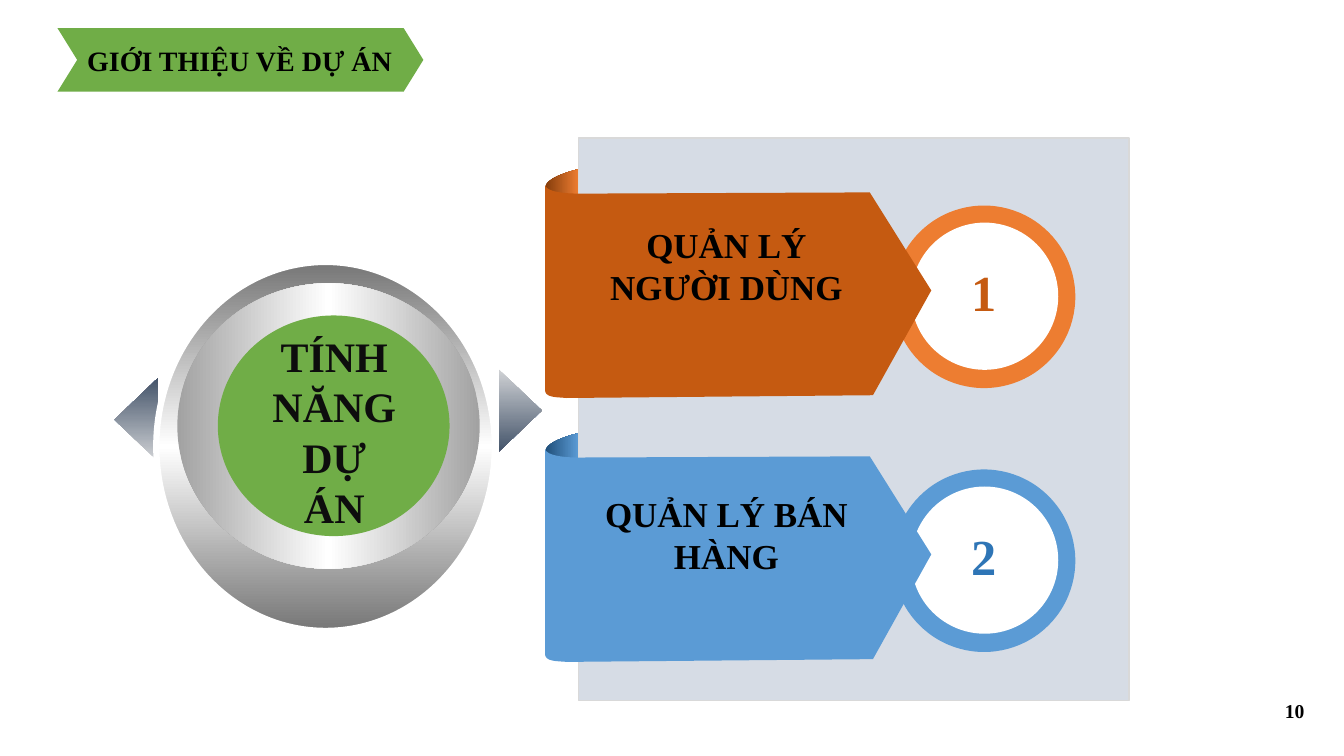
from lxml import etree
from pptx import Presentation
from pptx.dml.color import RGBColor
from pptx.enum import shapes, text
from pptx.oxml import ns
from pptx.util import Cm, Pt

FONT = "Times New Roman"
BLACK = RGBColor(0, 0, 0)
INK = RGBColor(0x0D, 0x0D, 0x0D)
WHITE = RGBColor(0xFF, 0xFF, 0xFF)
GREEN = RGBColor(0x70, 0xAD, 0x47)
SLATE = RGBColor(0x44, 0x54, 0x6A)
MIST = RGBColor(0xD0, 0xD2, 0xD5)
PANEL = RGBColor(0xD6, 0xDC, 0xE5)
EDGE = RGBColor(0xD9, 0xD9, 0xD9)
STEEL = RGBColor(0x76, 0x76, 0x76)
SILVER = RGBColor(0xA2, 0xA2, 0xA2)
ORANGE = RGBColor(0xED, 0x7D, 0x31)
RUST = RGBColor(0xC5, 0x5A, 0x11)
BROWN = RGBColor(0x84, 0x3C, 0x0B)
BLUE = RGBColor(0x5B, 0x9B, 0xD5)
NAVY = RGBColor(0x1F, 0x4E, 0x79)
COBALT = RGBColor(0x2E, 0x75, 0xB6)

KIND = shapes.MSO_SHAPE
MID = text.PP_ALIGN.CENTER
CURL = [(14.58, 4.27), (14.45, 4.29, 13.79, 4.47, 13.74, 4.7),
        (13.69, 4.8, 14.2, 4.9, 14.58, 4.9)]
BAND = [(13.74, 4.67), (13.79, 4.85, 14.3, 4.88, 14.58, 4.88),
        (21.92, 4.85), (23.47, 7.32), (22, 9.96), (14.27, 10.03),
        (14.1, 10.01, 13.77, 10.03, 13.74, 9.86)]


def trace(parts, drop, steps=12):
    dots = []
    for part in parts:
        if len(part) == 2:
            dots.append(part)
            continue
        ends = [dots[-1], part[:2], part[2:4], part[4:]]
        for i in range(1, steps + 1):
            t = i / steps
            rates = ((1 - t) ** 3, 3 * t * (1 - t) ** 2, 3 * t * t * (1 - t), t ** 3)
            dots.append(tuple(sum(r * e[k] for r, e in zip(rates, ends)) for k in (0, 1)))
    return [(Cm(x), Cm(y + drop)) for x, y in dots]


class Page:
    def __init__(self, slide, font):
        self.items = slide.shapes
        self.font = font

    def paint(self, item, fill, angle=0, line=None, width=1):
        item.shadow.inherit = False
        if isinstance(fill, list):
            item.fill.gradient()
            item.fill.gradient_angle = angle
            stops = item._element.spPr.find(".//" + ns.qn("a:gsLst"))
            for old in list(stops):
                stops.remove(old)
            for i, tint in enumerate(fill):
                stop = etree.SubElement(stops, ns.qn("a:gs"))
                stop.set("pos", str(i * 100000 // (len(fill) - 1)))
                etree.SubElement(stop, ns.qn("a:srgbClr")).set("val", str(tint))
        else:
            item.fill.solid()
            item.fill.fore_color.rgb = fill
        if line is None:
            item.line.fill.background()
        else:
            item.line.color.rgb = line
            item.line.width = Pt(width)
        return item

    def shape(self, kind, box, fill, **style):
        return self.paint(self.items.add_shape(kind, *map(Cm, box)), fill, **style)

    def outline(self, parts, drop, fill):
        first, *rest = trace(parts, drop)
        pen = self.items.build_freeform(*first, scale=1.0)
        pen.add_line_segments(rest, close=True)
        return self.paint(pen.convert_to_shape(), fill)

    def words(self, item, line, size, color, align=text.PP_ALIGN.LEFT):
        frame = item.text_frame
        frame.word_wrap = True
        para = frame.paragraphs[0]
        para.alignment = align
        run = para.add_run()
        run.text = line
        run.font.name = self.font
        run.font.size = Pt(size)
        run.font.bold = True
        run.font.color.rgb = color

    def label(self, box, *style):
        self.words(self.items.add_textbox(*map(Cm, box)), *style)


deck = Presentation()
deck.slide_width, deck.slide_height = Cm(33.87), Cm(19.05)
page = Page(deck.slides.add_slide(deck.slide_layouts[6]), FONT)

for left, top, turn in ((2.39, 10.03, 270), (12.07, 9.8, 90)):
    arrow = page.shape(KIND.ISOSCELES_TRIANGLE, (left, top, 2.08, 1.09), [MIST, SLATE])
    arrow.rotation = turn
page.shape(KIND.OVAL, (3.94, 6.6, 8.53, 9.3), [STEEL, WHITE, STEEL],
           angle=90, line=WHITE, width=4.5)
page.shape(KIND.OVAL, (4.47, 7.14, 7.62, 7.19), [SILVER, WHITE, SILVER])
page.shape(KIND.OVAL, (5.49, 7.95, 5.84, 5.56), GREEN)
page.label((6.55, 8.2, 3.75, 5.38), "TÍNH NĂNG DỰ ÁN", 30, INK, MID)

page.shape(KIND.RECTANGLE, (14.58, 3.48, 13.87, 14.17), PANEL, line=EDGE)
rows = [("QUẢN LÝ NGƯỜI DÙNG", 5.51, ORANGE, BROWN, RUST, RUST),
        ("QUẢN LÝ BÁN HÀNG", 12.29, BLUE, NAVY, BLUE, COBALT)]
for i, (name, top, ring, dark, band, ink) in enumerate(rows):
    drop = i * 6.65
    page.shape(KIND.OVAL, (22.5, 5.18 + drop, 4.6, 4.6), ring)
    page.shape(KIND.OVAL, (22.96, 5.61 + drop, 3.71, 3.71), WHITE)
    page.outline(CURL, drop, [dark, ring])
    page.outline(BAND, drop, band)
    page.label((14.43, top, 7.75, 2.39), name, 25, BLACK, MID)
    page.label((23.25, 6.45 + drop, 3.1, 1.8), str(i + 1), 36, ink, MID)

page.label((32.13, 17.48, 1.04, 0.86), "10", 14, BLACK)
title = page.shape(KIND.CHEVRON, (1.45, 0.71, 9.22, 1.6), GREEN)
title.adjustments[0] = 0.31
title.text_frame.vertical_anchor = text.MSO_ANCHOR.MIDDLE
page.words(title, "GIỚI THIỆU VỀ DỰ ÁN", 20, BLACK)

deck.save("out.pptx")
